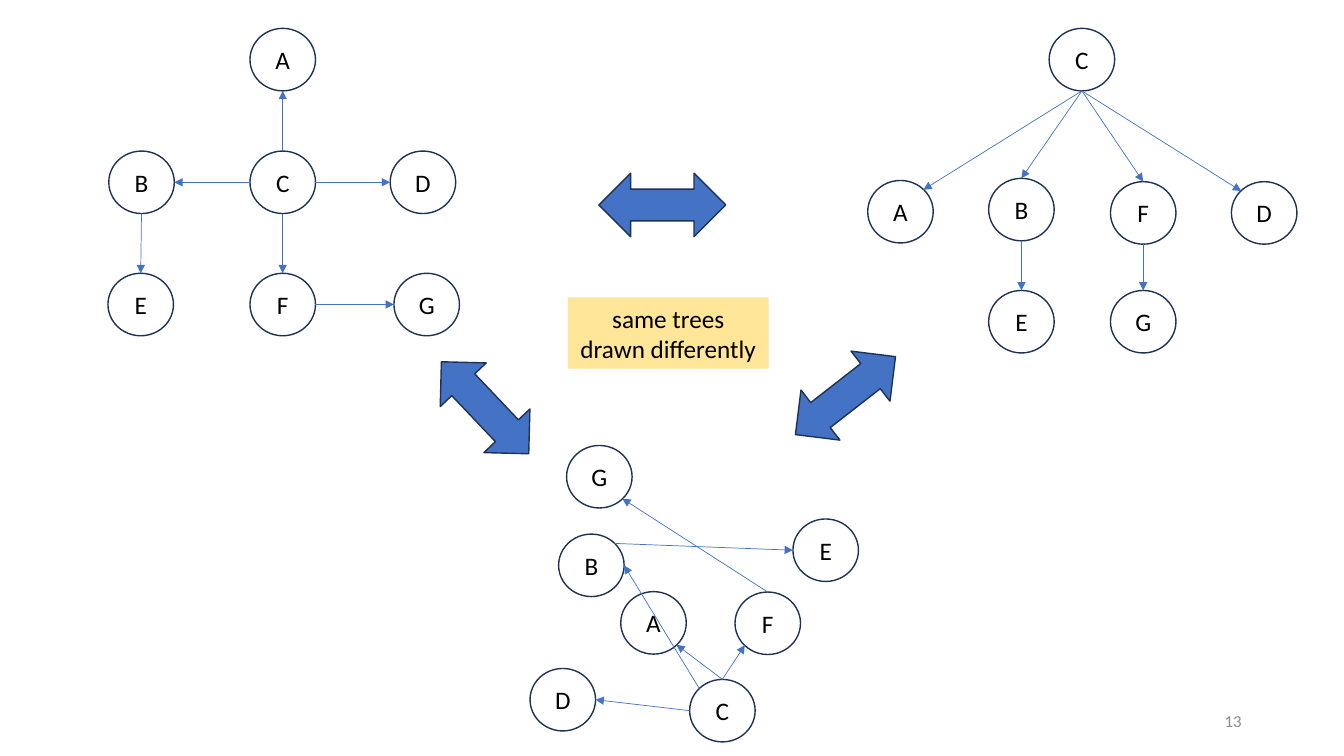
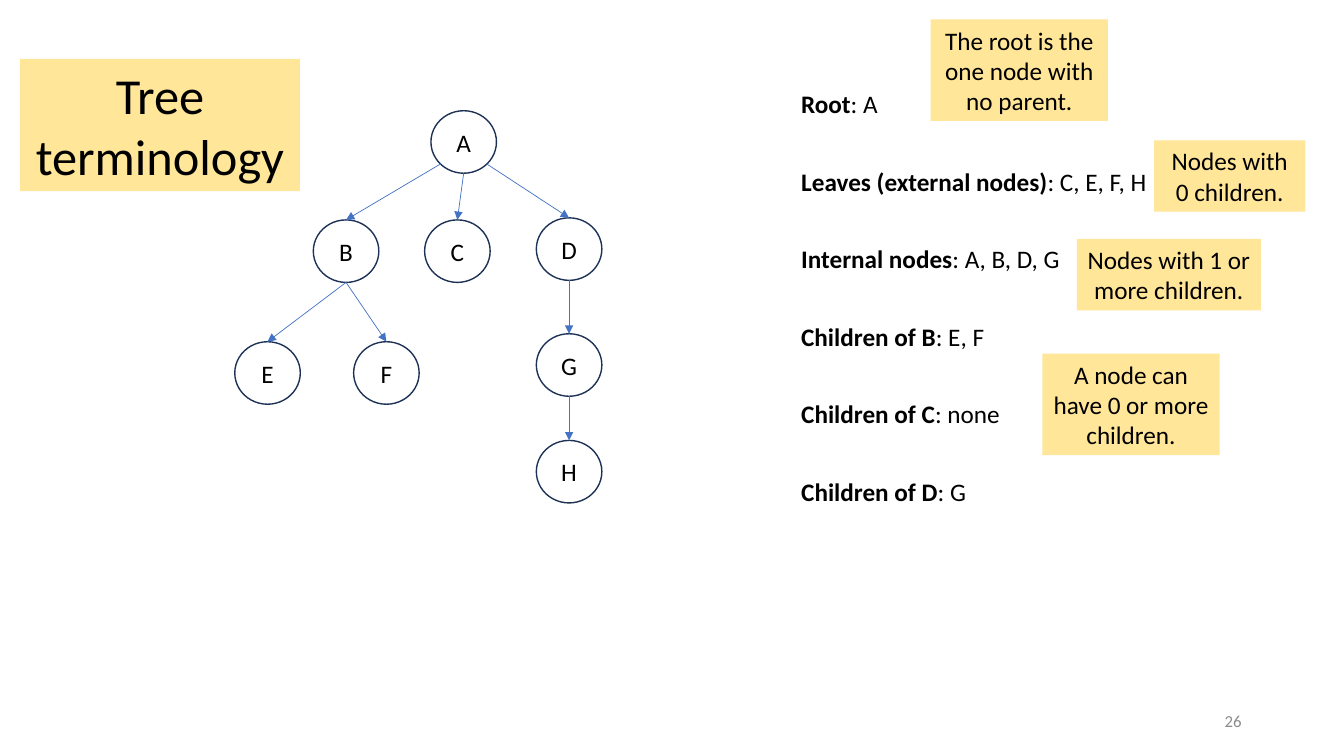
from lxml import etree
from pptx import Presentation
from pptx import util as u
from pptx.dml.color import RGBColor
from pptx.enum import shapes, text
from pptx.oxml.ns import qn

rgb = RGBColor.from_string
FONT, INK, GREY = "Calibri", "000000", "8C8C8C"
BLUE, NAVY, YELLOW = "4472C4", "1E3256", "FFE699"
NODE_W, NODE_H = 7.8, 7.44
SITES = {"n": (0, -0.5), "s": (0, 0.5), "w": (-0.5, 0), "e": (0.5, 0),
         "nw": (-0.35, -0.35), "ne": (0.35, -0.35),
         "sw": (-0.35, 0.35), "se": (0.35, 0.35)}
KIND, ALIGN = shapes.MSO_SHAPE, text.PP_ALIGN

prs = Presentation()
prs.slide_width, prs.slide_height = u.Emu(12192000), u.Emu(6858000)
CELL = prs.slide_width / 160


def add_box(s, at, paragraphs=(), kind=None, fill=None, line=None,
            size=18, color=INK, align=ALIGN.CENTER):
    frame = [round(v * CELL) for v in at]
    if kind is None:
        sp = s.shapes.add_textbox(*frame)
    else:
        sp = s.shapes.add_shape(kind, *frame)
        sp.shadow.inherit = False
        if fill:
            sp.fill.solid()
            sp.fill.fore_color.rgb = rgb(fill)
        else:
            sp.fill.background()
        if line:
            sp.line.color.rgb = rgb(line)
            sp.line.width = u.Pt(1)
        else:
            sp.line.fill.background()
    tf = sp.text_frame
    tf.word_wrap = True
    for i, runs in enumerate(paragraphs):
        p = tf.add_paragraph() if i else tf.paragraphs[0]
        p.alignment = align
        for words, bold in runs:
            r = p.add_run()
            r.text = words
            r.font.name, r.font.size, r.font.bold = FONT, u.Pt(size), bold
            r.font.color.rgb = rgb(color)
    return sp


def add_tree(s, nodes, edges):
    for name, (x, y) in nodes.items():
        sp = add_box(s, (x - NODE_W / 2, y - NODE_H / 2, NODE_W, NODE_H),
                     [[(name, False)]], KIND.OVAL, line=NAVY)
        tf = sp.text_frame
        tf.margin_left = tf.margin_right = tf.margin_top = tf.margin_bottom = 0
        tf.vertical_anchor = text.MSO_ANCHOR.MIDDLE
    for edge in edges:
        parent, out, child, into = edge.split()
        ends = []
        for name, site in ((parent, out), (child, into)):
            dx, dy = SITES[site]
            ends += [round((nodes[name][0] + dx * NODE_W) * CELL),
                     round((nodes[name][1] + dy * NODE_H) * CELL)]
        c = s.shapes.add_connector(shapes.MSO_CONNECTOR.STRAIGHT, *ends)
        c.line.color.rgb = rgb(BLUE)
        c.line.width = u.Pt(0.5)
        etree.SubElement(c.line._get_or_add_ln(), qn("a:tailEnd"), type="triangle")
        etree.SubElement(c._element.spPr, qn("a:effectLst"))


trees_slide, terms_slide = [prs.slides.add_slide(prs.slide_layouts[6]) for _ in range(2)]
for s, number in ((trees_slide, "13"), (terms_slide, "26")):
    sp = add_box(s, (113, 83.4, 36, 4.8), [[(number, False)]],
                 size=12, color=GREY, align=ALIGN.RIGHT)
    sp.text_frame.vertical_anchor = text.MSO_ANCHOR.MIDDLE

add_tree(trees_slide,
         {"A": (33.66, 7.1), "B": (16.85, 21.7), "C": (33.66, 21.7), "D": (50.35, 21.7),
          "E": (16.75, 36.25), "F": (33.66, 36.25), "G": (50.8, 36.25)},
         ["C w B e", "C s F n", "C e D w", "C n A s", "F e G w", "B s E n"])
add_tree(trees_slide,
         {"C": (128.8, 7.1), "A": (107.2, 25.2), "B": (121.6, 24.95), "F": (136.1, 25.35),
          "D": (150.5, 25.35), "E": (121.6, 38.3), "G": (136.1, 38.3)},
         ["C s B n", "C s F n", "C s D nw", "C s A ne", "F s G n", "B s E n"])
add_tree(trees_slide,
         {"C": (86, 84.6), "B": (70.4, 67.3), "A": (77.8, 74.15), "F": (91.4, 74.2),
          "D": (67, 83.3), "G": (71.35, 56.75), "E": (98.3, 65.5)},
         ["C nw B e", "C n F sw", "C w D e", "C n A se", "F n G se", "B ne E w"])

ARROW_W, ARROW_H = 15.1, 7.55
for x, y, angle in ((57.75, 48.55, 46.5), (100.65, 47.1, 142.1), (78.85, 24.4, 180)):
    sp = add_box(trees_slide, (x - ARROW_W / 2, y - ARROW_H / 2, ARROW_W, ARROW_H),
                 kind=KIND.LEFT_RIGHT_ARROW, fill=BLUE, line=NAVY)
    sp.rotation = angle

add_tree(terms_slide,
         {"A": (55.2, 16.9), "B": (41.2, 29.9), "C": (54.45, 29.9), "D": (67.75, 29.65),
          "E": (31.85, 44.4), "F": (46, 44.4), "G": (67.75, 43.45), "H": (67.75, 56.15)},
         ["A sw B n", "A s C n", "A se D n", "B s E n", "B s F n", "D s G n", "G s H n"])

terms = [("Root", ": A", 12), ("Leaves (external nodes)", ": C, E, F, H", 44),
         ("Internal nodes", ": A, B, D, G", 33.2), ("Children of B", ": E, F", 24.5),
         ("Children of C", ": none", 26.5), ("Children of D", ": G", 22.5)]
for row, (term, answer, width) in enumerate(terms):
    add_box(terms_slide, (94.2, 9.95 + row * 9.23, width, 4.8),
            [[(term, True), (answer, False)]], align=ALIGN.LEFT)

notes = [
    (trees_slide, (67.6, 35.4, 23.9, 8.5), ["same trees", "drawn differently"], 18),
    (terms_slide, (2.4, 7, 33.3, 15.75), ["Tree terminology"], 36),
    (terms_slide, (124.1, 42.1, 21.1, 12.1), ["A node can have 0 or more children."], 18),
    (terms_slide, (110.8, 2.3, 21.1, 12.1), ["The root is the one node with no parent."], 18),
    (terms_slide, (137.4, 16.7, 18, 8.5), ["Nodes with 0 children."], 18),
    (terms_slide, (128.2, 28.45, 21.9, 8.5), ["Nodes with 1 or more children."], 18),
]
for s, at, lines, size in notes:
    add_box(s, at, [[(words, False)] for words in lines],
            KIND.RECTANGLE, fill=YELLOW, size=size)

prs.save("out.pptx")
